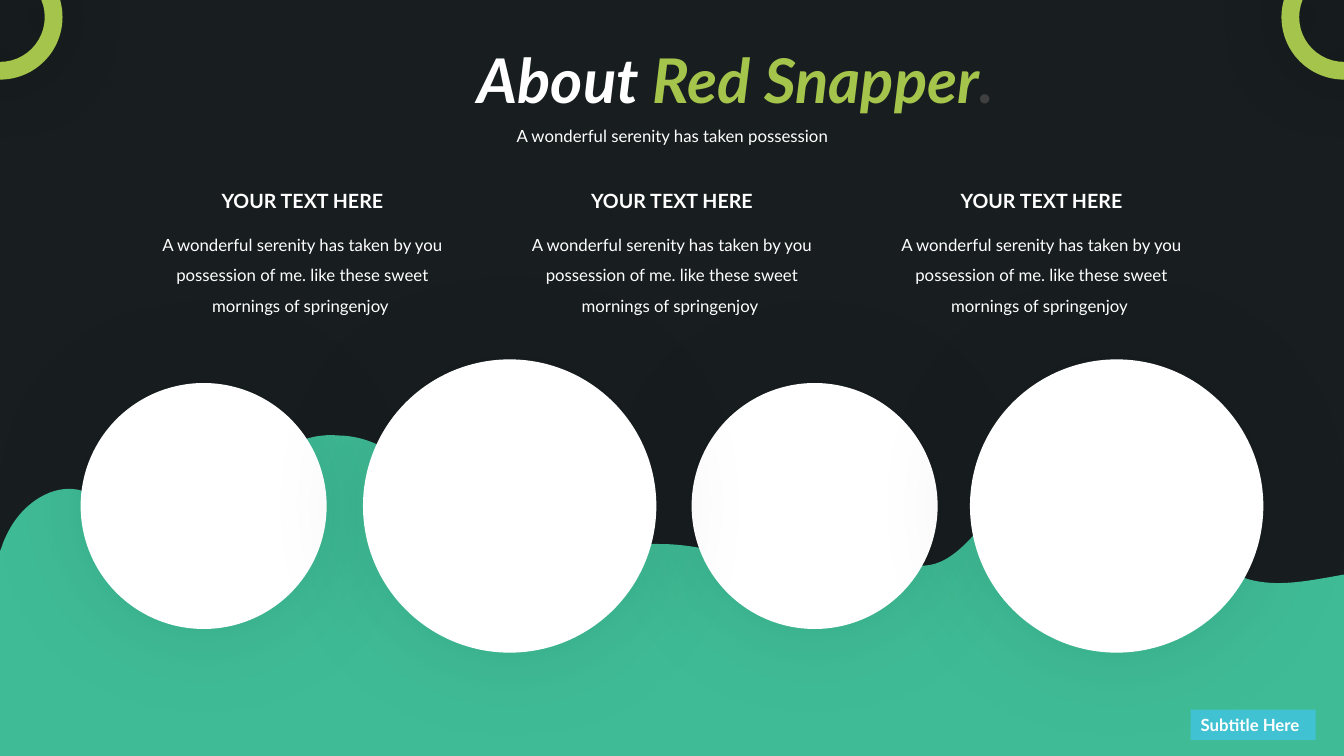
from lxml import etree
from pptx import Presentation
from pptx.dml.color import RGBColor as RGB
from pptx.enum.shapes import MSO_SHAPE as Shape
from pptx.enum.text import MSO_ANCHOR as Anchor, MSO_AUTO_SIZE as Fit, PP_ALIGN as Align
from pptx.oxml.ns import qn
from pptx.util import Inches, Pt


class Theme:
    font = "Lato"
    dark = RGB.from_string("181E20")
    green = RGB.from_string("3FBC96")
    lime = RGB.from_string("A5C44B")
    blue = RGB.from_string("40C2D2")
    gray = RGB.from_string("3F3F3F")
    white = RGB.from_string("FFFFFF")
    big = dict(size=Pt(44), bold=True, italic=True)
    head = dict(size=Pt(14), bold=True)
    tag = dict(size=Pt(12), bold=True)
    body = dict(size=Pt(12))


def write(box, runs, style, align=Align.CENTER, wrap=True, lead=None):
    frame = box.text_frame
    form = dict(word_wrap=wrap, auto_size=Fit.SHAPE_TO_FIT_TEXT,
                vertical_anchor=Anchor.TOP)
    for key, value in form.items():
        setattr(frame, key, value)
    para = frame.paragraphs[0]
    para.alignment, para.line_spacing = align, lead
    for text, color in runs:
        run = para.add_run()
        run.text = text
        for key, value in dict(name=Theme.font, **style).items():
            setattr(run.font, key, value)
        run.font.color.rgb = color


def paint(shape, color, blur=0, alpha=0):
    shape.shadow.inherit = False
    shape.fill.solid()
    shape.fill.fore_color.rgb = color
    shape.line.fill.background()
    if blur:
        effects = shape.element.spPr.find(qn("a:effectLst"))
        glow = etree.SubElement(effects, qn("a:outerShdw"), blurRad=str(Pt(blur)),
                                dist="0", dir="0", algn="ctr", rotWithShape="0")
        tint = etree.SubElement(glow, qn("a:srgbClr"), val="000000")
        etree.SubElement(tint, qn("a:alpha"), val=str(alpha * 1000))


# Slide
deck = Presentation()
deck.slide_width, deck.slide_height = Inches(13.33), Inches(7.5)
slide = deck.slides.add_slide(deck.slide_layouts[5])
slide.background.fill.solid()
slide.background.fill.fore_color.rgb = Theme.dark
shapes = slide.shapes

# Wave: cubic curves, used twice with a shift to the right and down
start = (0.02, 5.42)
curves = [
    [(0.03, 5.38), (0.05, 5.34), (0.07, 5.3)],
    [(0.21, 5), (0.53, 4.78), (0.82, 4.87)],
    [(1.12, 4.96), (1.31, 5.33), (1.61, 5.35)],
    [(1.93, 5.38), (2.16, 5.04), (2.38, 4.79)],
    [(2.58, 4.56), (2.84, 4.39), (3.13, 4.33)],
    [(3.2, 4.32), (3.28, 4.31), (3.35, 4.32)],
    [(3.56, 4.32), (3.78, 4.4), (3.95, 4.54)],
    [(4.23, 4.79), (4.37, 5.2), (4.67, 5.39)],
    [(5.01, 5.61), (5.43, 5.51), (5.83, 5.44)],
    [(6.1, 5.4), (6.39, 5.39), (6.66, 5.4)],
    [(6.94, 5.42), (7.24, 5.48), (7.47, 5.64)],
]
crest = [[(0, 5.47)]]
for dx, dy, part in ((0, 0, curves), (7.5, 0.26, curves[:9])):
    for points in [[start]] + part:
        crest.append([(x + dx, y + dy) for x, y in points])
crest.append([(13.33, 7.5)])
pen = shapes.build_freeform(0, Inches(7.5), scale=1.0)
pen.add_line_segments([(Inches(x), Inches(y)) for x, y in (p[-1] for p in crest)])
wave = pen.convert_to_shape()
paint(wave, Theme.green)

# Turn the lines that have handles into curves
lines = list(wave.element.iter(qn("a:lnTo")))
for line, points in zip(lines, crest):
    if len(points) == 3:
        bend = etree.Element(qn("a:cubicBezTo"))
        for x, y in points:
            etree.SubElement(bend, qn("a:pt"), x=str(Inches(x) - wave.left),
                             y=str(Inches(y) - wave.top))
        line.getparent().replace(line, bend)

# White circles on one centre line
for left, size in ((0.8, 2.44), (6.86, 2.44), (3.6, 2.91), (9.62, 2.91)):
    disc = shapes.add_shape(Shape.OVAL, Inches(left), Inches(5.02 - size / 2),
                            Inches(size), Inches(size))
    paint(disc, Theme.white, 77, 9)

# Title and subtitle
title = shapes.title
title.element.getparent().append(title.element)
place = dict(left=3.37, top=0.37, width=6.59, height=0.84)
for key, value in place.items():
    setattr(title, key, Inches(value))
write(title, [("About ", Theme.white), ("Red Snapper", Theme.lime), (".", Theme.gray)],
      Theme.big, Align.RIGHT)
lede = shapes.add_textbox(Inches(4.46), Inches(1.1), Inches(4.42), Inches(0.37))
write(lede, [("A wonderful serenity has taken possession", Theme.white)],
      Theme.body, lead=1.5)

# Three text columns
story = ("A wonderful serenity has taken by you possession of me. "
         "like these sweet mornings of springenjoy ")
lefts = [1.47 + col * 3.665 for col in range(3)]
for left in lefts:
    text = shapes.add_textbox(Inches(left), Inches(2.18), Inches(3.06), Inches(0.97))
    write(text, [(story, Theme.white)], Theme.body, lead=1.5)
for left in lefts:
    head = shapes.add_textbox(Inches(left + 0.625), Inches(1.83),
                              Inches(1.81), Inches(0.34))
    write(head, [("YOUR TEXT HERE", Theme.white)], Theme.head, wrap=False)

# Corner tag
tag = shapes.add_shape(Shape.RECTANGLE, Inches(11.81), Inches(7.04),
                       Inches(1.24), Inches(0.3))
paint(tag, Theme.blue)
write(tag, [("Subtitle Here", Theme.white)], Theme.tag, Align.LEFT, wrap=False)

# Rings centred on the side edges
for edge in (0, 13.33):
    ring = shapes.add_shape(Shape.DONUT, Inches(edge - 0.62), Inches(-0.45),
                            Inches(1.24), Inches(1.24))
    ring.adjustments[0] = 0.142
    paint(ring, Theme.lime, 49, 33)

deck.save("out.pptx")
